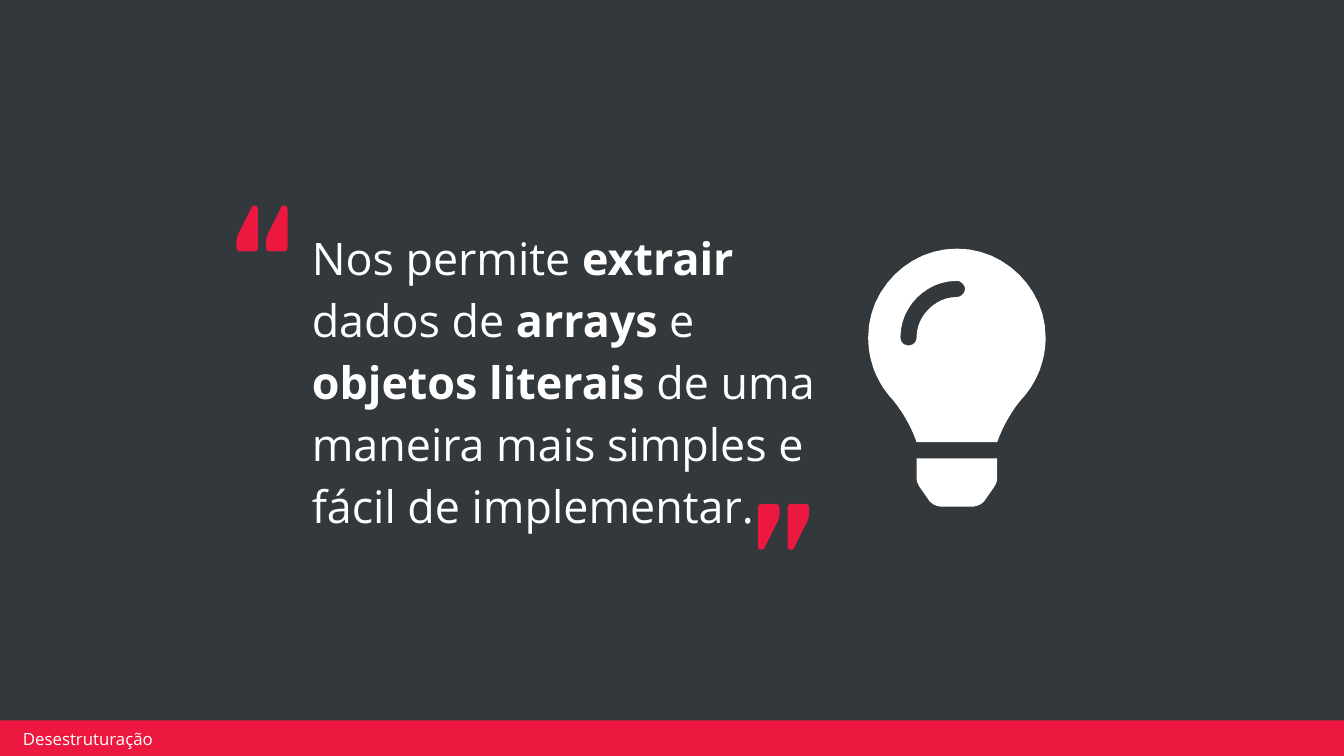
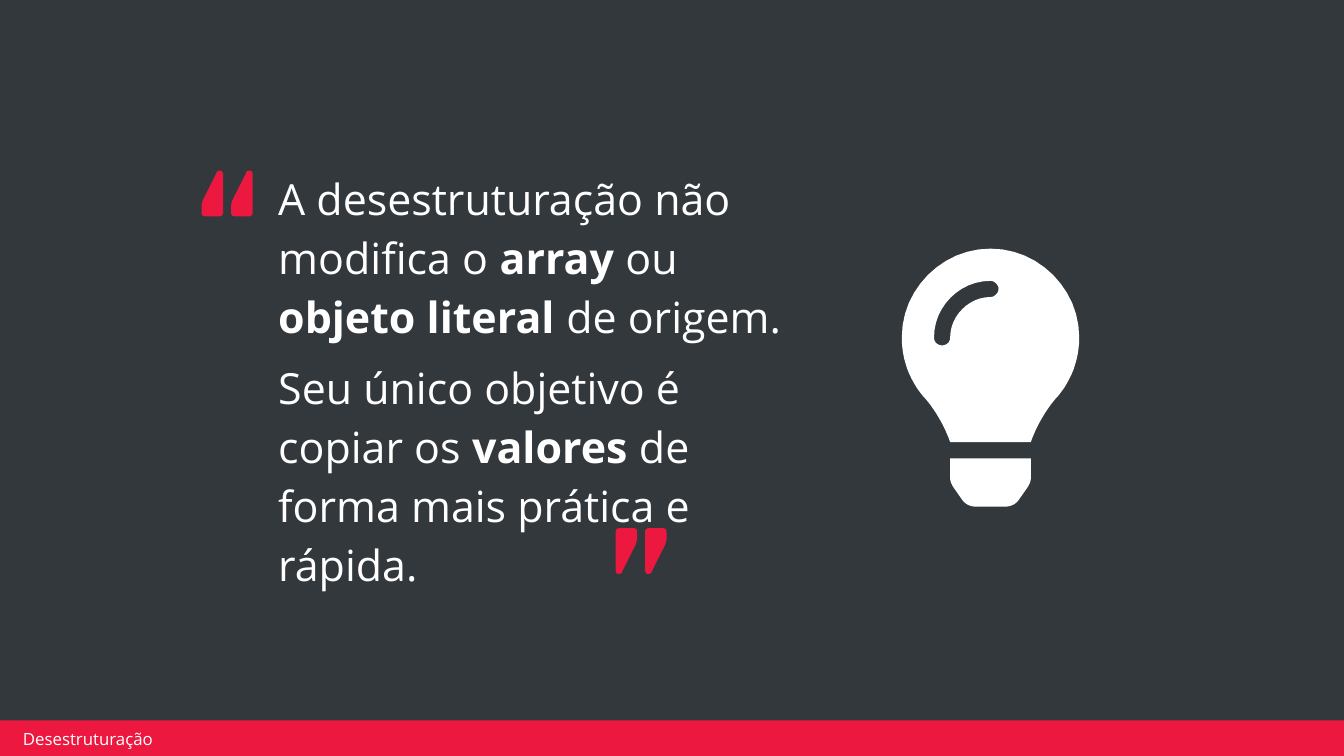
from pptx import Presentation
from pptx.dml.color import RGBColor
from pptx.enum.shapes import MSO_SHAPE as Shape
from pptx.enum.text import MSO_ANCHOR as Anchor, MSO_AUTO_SIZE as Fit, PP_ALIGN as Align
from pptx.oxml.ns import qn
from pptx.util import Inches, Pt
from lxml import etree

DARK = RGBColor(0x33, 0x38, 0x3C)
RED = RGBColor(0xEC, 0x18, 0x3F)
WHITE = RGBColor(0xFF, 0xFF, 0xFF)
FONT = "Open Sans"
WIDE = 10
HIGH = WIDE * 9 / 16
UNIT = 1000  # outline units per inch
STEPS = 12  # line pieces per curve

# Outlines: a pair is a line end, six numbers are a curve
MARK = [(.14, 0), (.12, 0, .11, .01, .11, .02), (.04, .16),
        (.02, .2, 0, .23, 0, .27), (0, .31), (0, .33, .01, .34, .03, .34),
        (.13, .34), (.15, .34, .16, .33, .16, .31), (.16, .03),
        (.16, .01, .15, 0, .14, 0)]
MARK_STEP = .22
BULB_WIDE = 1.32
GLASS = [(.66, 0), (.3, 0, 0, .3, 0, .66), (0, .83, .06, .98, .16, 1.1),
         (.23, 1.17, .32, 1.32, .36, 1.44)]
SCREW = [(.36, 1.56), (.36, 1.71), (.36, 1.73, .37, 1.75, .38, 1.77),
         (.45, 1.87), (.47, 1.9, .51, 1.92, .55, 1.92)]
GLINT = [(.66, .36), (.5, .36, .36, .5, .36, .66),
         (.36, .7, .33, .72, .3, .72), (.27, .72, .24, .7, .24, .66),
         (.24, .43, .43, .24, .66, .24), (.69, .24, .72, .27, .72, .3),
         (.72, .33, .69, .36, .66, .36)]

QUOTES = [
    {"box": (2.22, 1.7, 4.07, 2.22), "size": 24,
     "open": (1.76, 1.53), "close": (5.64, 3.75), "bulb": (6.46, 1.85),
     "paras": [["Nos permite ", "extrair ", "dados de ", "arrays ", "e ",
                "objetos literais ",
                "de uma maneira mais simples e fácil de implementar."]]},
    {"box": (1.97, 1.36, 4.14, 2.9), "size": 23,
     "open": (1.5, 1.27), "close": (4.58, 3.93), "bulb": (6.71, 1.85),
     "paras": [["A desestruturação não modifica o ", "array ", "ou",
                " objeto literal ", "de origem."],
               ["Seu único objetivo é copiar os ", "valores",
                " de forma mais prática e rápida."]]},
]


def style(item, values):
    for name, value in values.items():
        setattr(item, name, value)


def place(shape, box):
    names = ("left", "top", "width", "height")
    style(shape, dict(zip(names, map(Inches, box))))


def paint(shape, color):
    shape.fill.solid()
    shape.fill.fore_color.rgb = color
    shape.line.fill.background()
    shape.shadow.inherit = False


def trace(path):
    """Turn lines and curves into a list of points."""
    points = [path[0]]
    for part in path[1:]:
        if len(part) == 2:
            points.append(part)
            continue
        knots = [points[-1], part[:2], part[2:4], part[4:]]
        for step in range(1, STEPS + 1):
            t = step / STEPS
            u = 1 - t
            mix = (u ** 3, 3 * u * u * t, 3 * u * t * t, t ** 3)
            points.append(tuple(sum(m * k[axis] for m, k in zip(mix, knots))
                                for axis in (0, 1)))
    return points


def mirror(points):
    return points + [(BULB_WIDE - x, y) for x, y in reversed(points)]


def draw(shapes, loops, spot, color):
    pen = None
    for loop in loops:
        dots = [(x * UNIT, y * UNIT) for x, y in loop]
        if pen is None:
            pen = shapes.build_freeform(*dots[0], scale=Inches(1) / UNIT)
        else:
            pen.move_to(*dots[0])
        pen.add_line_segments(dots[1:], close=True)
    shape = pen.convert_to_shape(*map(Inches, spot))
    paint(shape, color)
    return shape


def add_marks(slide, spot, turn=0):
    group = slide.shapes.add_group_shape()
    left, top = spot
    for i in range(2):
        mark = draw(group.shapes, [trace(MARK)], (left + i * MARK_STEP, top), RED)
        mark.rotation = turn


def add_bulb(slide, spot):
    loops = [mirror(trace(SCREW)), mirror(trace(GLASS)), trace(GLINT)]
    draw(slide.shapes, loops, spot, WHITE)


def set_frame(frame, side, edge):
    style(frame, {"word_wrap": True, "auto_size": Fit.NONE,
                  "vertical_anchor": Anchor.MIDDLE,
                  "margin_left": Inches(side), "margin_right": Inches(side),
                  "margin_top": Inches(edge), "margin_bottom": Inches(edge)})


def add_run(para, text, size, bold=False):
    run = para.add_run()
    run.text = text
    style(run.font, {"name": FONT, "size": Pt(size), "bold": bold})
    run.font.color.rgb = WHITE


def add_text(slide, box, size, paras):
    body = slide.placeholders[1]
    place(body, box)
    frame = body.text_frame
    set_frame(frame, .1, .05)
    for i, texts in enumerate(paras):
        para = frame.add_paragraph() if i else frame.paragraphs[0]
        style(para, {"alignment": Align.LEFT, "line_spacing": 1.15,
                     "space_before": Pt(6), "space_after": Pt(6 if i else 0)})
        props = para._p.get_or_add_pPr()
        props.set("marL", "0")
        props.set("indent", "0")
        etree.SubElement(props, qn("a:buNone"))
        # Every second run is the stressed one
        for j, text in enumerate(texts):
            add_run(para, text, size, bold=j % 2 == 1)


def add_footer(slide):
    top = 5.36
    band = slide.shapes.add_shape(Shape.RECTANGLE, 0, 0, 0, 0)
    place(band, (-.02, top, WIDE + .03, .27))
    paint(band, RED)
    label = slide.shapes.add_textbox(0, 0, 0, 0)
    place(label, (.12, top + .06, 2.39, .15))
    set_frame(label.text_frame, .05, .02)
    add_run(label.text_frame.paragraphs[0], "Desestruturação", 9)


def add_quote(deck, quote):
    slide = deck.slides.add_slide(deck.slide_layouts[1])
    # The quote has no title
    title = slide.shapes.title._element
    title.getparent().remove(title)
    add_text(slide, quote["box"], quote["size"], quote["paras"])
    add_bulb(slide, quote["bulb"])
    add_marks(slide, quote["open"])
    add_marks(slide, quote["close"], turn=180)
    add_footer(slide)


def main():
    deck = Presentation()
    style(deck, {"slide_width": Inches(WIDE), "slide_height": Inches(HIGH)})
    # Shared background
    back = deck.slide_master.background.fill
    back.solid()
    back.fore_color.rgb = DARK
    for quote in QUOTES:
        add_quote(deck, quote)
    deck.save("out.pptx")


if __name__ == "__main__":
    main()
